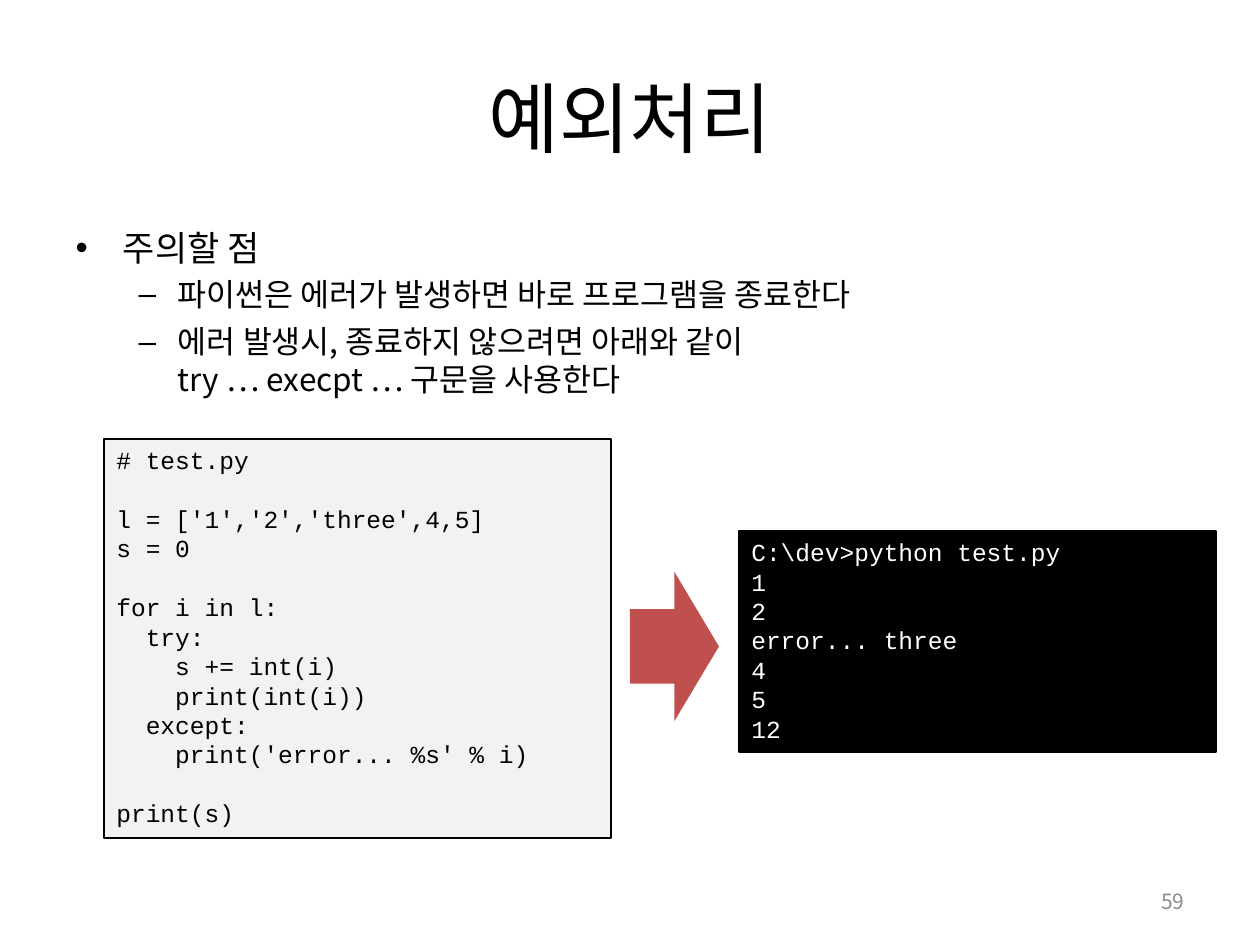
import pptx
import pptx.dml.color
import pptx.enum.shapes
import pptx.enum.text
import pptx.oxml.ns
import pptx.util
from lxml import etree

RGBColor = pptx.dml.color.RGBColor
BLACK = RGBColor(0x00, 0x00, 0x00)
WHITE = RGBColor(0xFF, 0xFF, 0xFF)
LIGHT_GRAY = RGBColor(0xF2, 0xF2, 0xF2)
NUMBER_GRAY = RGBColor(0x8C, 0x8C, 0x8C)
RED = RGBColor(0xC0, 0x50, 0x4D)

PX = pptx.util.Inches(1) / 126
TEXT_FONT = "Noto Sans CJK KR"
CODE_FONT = "Courier New"
CODE_SIZE = 14

ALIGN = pptx.enum.text.PP_ALIGN
ANCHOR = pptx.enum.text.MSO_ANCHOR
SHAPE = pptx.enum.shapes.MSO_SHAPE

BULLETS = [
    (0, 20, ["주의할 점"]),
    (1, 18, ["파이썬은 에러가 발생하면 바로 프로그램을 종료한다"]),
    (1, 18, ["에러 발생시, 종료하지 않으려면 아래와 같이",
             "try … execpt … 구문을 사용한다"]),
]

SOURCE_CODE = """# test.py

l = ['1','2','three',4,5]
s = 0

for i in l:
  try:
    s += int(i)
    print(int(i))
  except:
    print('error... %s' % i)

print(s)"""

CONSOLE_OUTPUT = r"""C:\dev>python test.py
1
2
error... three
4
5
12"""


def to_emu(box):
    return [pptx.util.Emu(round(length * PX)) for length in box]


def place(shape, box):
    shape.left, shape.top, shape.width, shape.height = to_emu(box)


def add_run(paragraph, text, size, color, font=TEXT_FONT):
    run = paragraph.add_run()
    run.text = text
    run.font.size = pptx.util.Pt(size)
    run.font.name = font
    run.font.color.rgb = color
    east_asian = etree.SubElement(run.font._element, pptx.oxml.ns.qn("a:ea"))
    east_asian.set("typeface", font)


def fill_title(title, box):
    place(title, box)
    frame = title.text_frame
    frame.vertical_anchor = ANCHOR.MIDDLE
    paragraph = frame.paragraphs[0]
    paragraph.alignment = ALIGN.CENTER
    add_run(paragraph, "예외처리", 44, BLACK)


def fill_bullets(body, box):
    place(body, box)
    frame = body.text_frame
    frame.auto_size = pptx.enum.text.MSO_AUTO_SIZE.NONE
    for index, (level, size, lines) in enumerate(BULLETS):
        paragraph = frame.add_paragraph() if index else frame.paragraphs[0]
        paragraph.level = level
        for number, line in enumerate(lines):
            if number:
                paragraph.add_line_break()
            add_run(paragraph, line, size, BLACK)


def add_code_box(slide, box, code, fill, color):
    shape = slide.shapes.add_shape(SHAPE.RECTANGLE, *to_emu(box))
    shape.shadow.inherit = False
    shape.fill.solid()
    shape.fill.fore_color.rgb = fill
    shape.line.color.rgb = BLACK
    shape.line.width = pptx.util.Pt(0.75)
    frame = shape.text_frame
    frame.word_wrap = True
    frame.vertical_anchor = ANCHOR.TOP
    for index, line in enumerate(code.splitlines()):
        paragraph = frame.add_paragraph() if index else frame.paragraphs[0]
        paragraph.alignment = ALIGN.LEFT
        if line:
            add_run(paragraph, line, CODE_SIZE, color, CODE_FONT)
        else:
            set_empty_line_font(paragraph)


def set_empty_line_font(paragraph):
    """Give an empty line of code the height of the others."""
    qn = pptx.oxml.ns.qn
    end = etree.SubElement(paragraph._p, qn("a:endParaRPr"))
    end.set("sz", str(CODE_SIZE * 100))
    etree.SubElement(end, qn("a:latin")).set("typeface", CODE_FONT)


def add_arrow(slide, box):
    arrow = slide.shapes.add_shape(SHAPE.RIGHT_ARROW, *to_emu(box))
    arrow.shadow.inherit = False
    arrow.fill.solid()
    arrow.fill.fore_color.rgb = RED
    arrow.line.fill.background()


def add_slide_number(slide, box):
    frame = slide.shapes.add_textbox(*to_emu(box)).text_frame
    frame.word_wrap = True
    frame.vertical_anchor = ANCHOR.MIDDLE
    paragraph = frame.paragraphs[0]
    paragraph.alignment = ALIGN.RIGHT
    add_run(paragraph, "59", 12, NUMBER_GRAY)


def main():
    presentation = pptx.Presentation()
    presentation.slide_width = pptx.util.Inches(10)
    presentation.slide_height = pptx.util.Inches(7.5)
    slide = presentation.slides.add_slide(presentation.slide_layouts[1])
    fill_title(slide.shapes.title, (63, 38, 1134, 158))
    fill_bullets(slide.placeholders[1], (63, 220, 1134, 624))
    add_code_box(slide, (104, 439, 507, 399), SOURCE_CODE, LIGHT_GRAY, BLACK)
    add_code_box(slide, (739, 531, 477, 221), CONSOLE_OUTPUT, BLACK, WHITE)
    add_arrow(slide, (630, 572, 89, 149))
    add_slide_number(slide, (903, 876, 294, 50))
    presentation.save("out.pptx")


if __name__ == "__main__":
    main()
